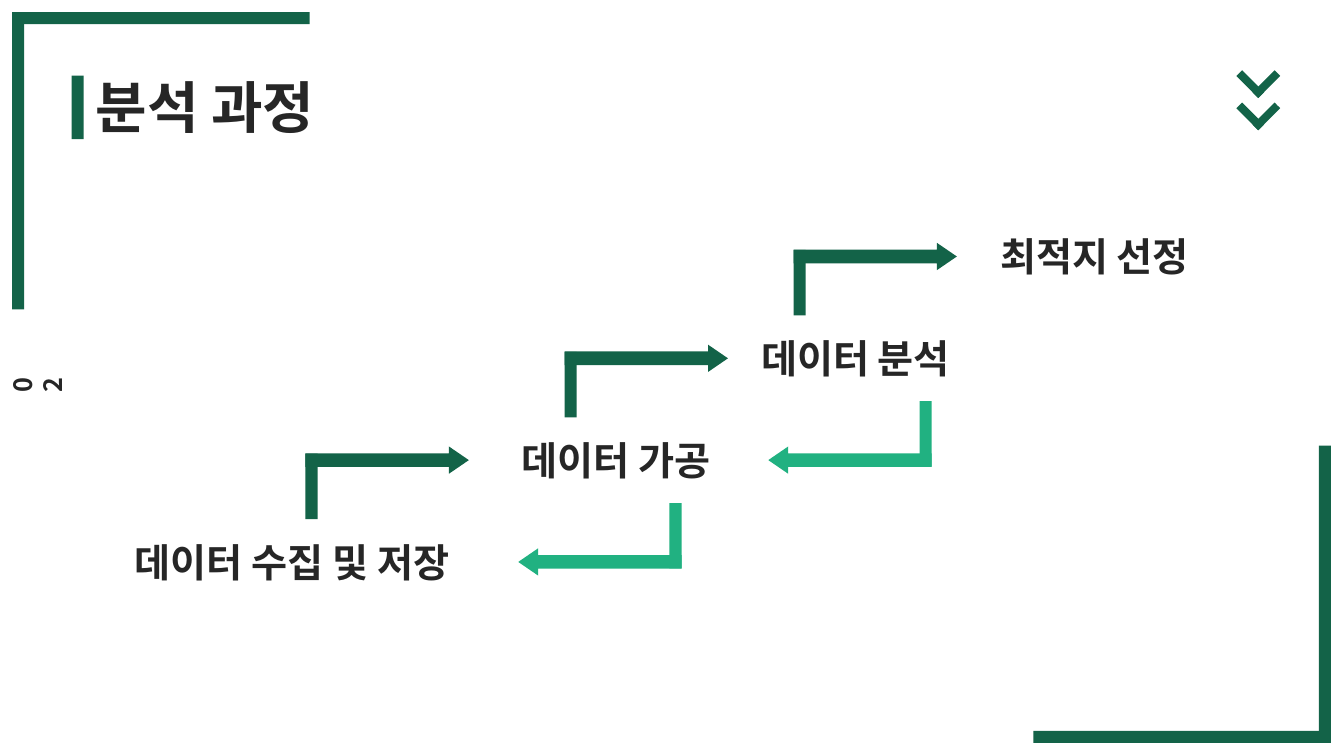
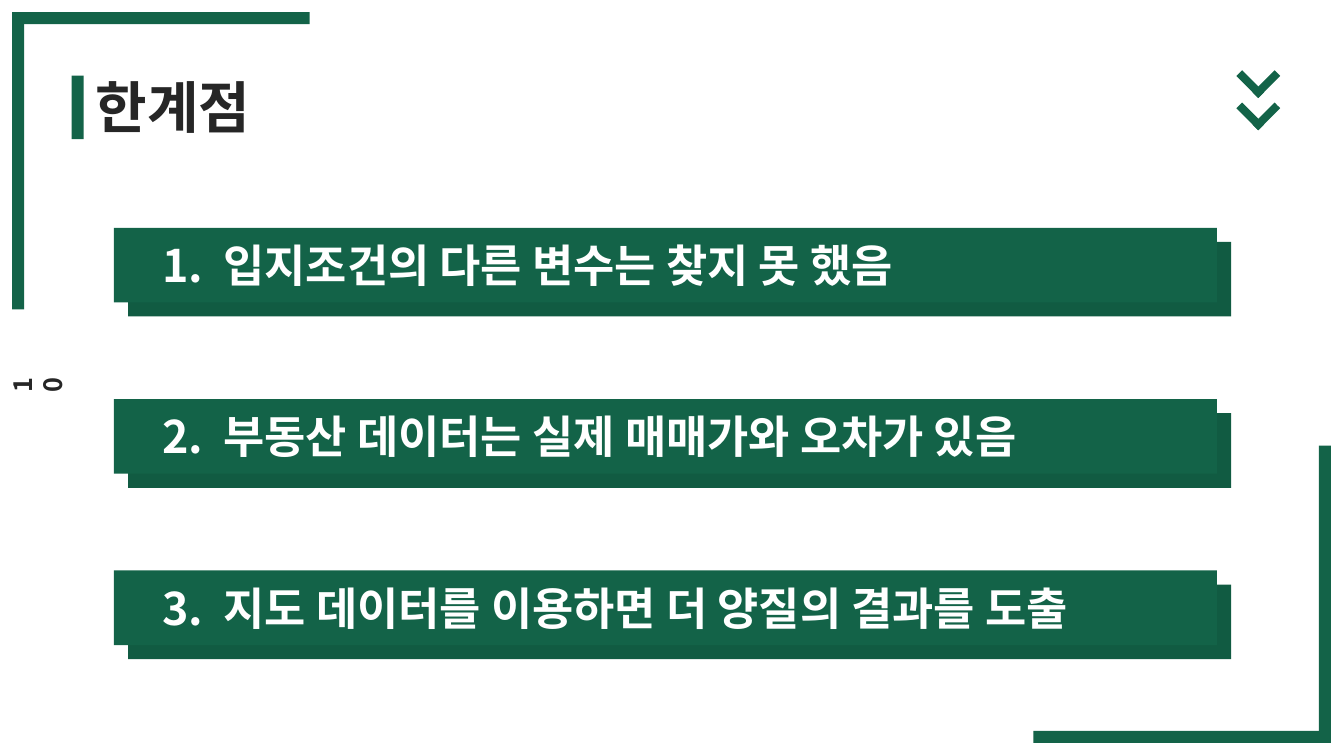
from dataclasses import dataclass

from pptx import Presentation
from pptx.dml.color import RGBColor
from pptx.enum.shapes import MSO_SHAPE as Preset
from pptx.enum.text import MSO_AUTO_SIZE as AutoSize
from pptx.oxml.ns import qn
from pptx.util import Inches, Pt


# Theme
@dataclass(frozen=True)
class Theme:
    font: str = "Noto Sans CJK KR"
    green: str = "136348"
    shade: str = "115B42"
    mint: str = "21B181"
    ink: str = "262626"
    white: str = "FFFFFF"
    title: int = 40
    item: int = 32
    stage: int = 28
    number: int = 18
    bar: float = 0.12


THEME = Theme()

# Content
PROCESS = {
    "title": "분석 과정", "title_width": 2.64, "number": "02",
    # label, left, width, left of arrow to the next stage, left of arrow back
    "stages": [
        ("데이터 수집 및 저장", 1.24, 3.76, 3.03, 5.14),
        ("데이터 가공", 5.07, 2.3, 5.6, 7.62),
        ("데이터 분석", 7.45, 2.3, 7.87, None),
        ("최적지 선정", 9.82, 2.3, None, None),
    ],
}
LIMITS = {
    "title": "한계점", "title_width": 1.88, "number": "10",
    "items": [
        "입지조건의 다른 변수는 찾지 못 했음",
        "부동산 데이터는 실제 매매가와 오차가 있음",
        "지도 데이터를 이용하면 더 양질의 결과를 도출",
    ],
}


# Building blocks
def add_block(slide, left, top, width, height, color=THEME.green,
              preset=Preset.RECTANGLE, rotation=0):
    block = slide.shapes.add_shape(
        preset, Inches(left), Inches(top), Inches(width), Inches(height))
    block.shadow.inherit = False
    block.fill.solid()
    block.fill.fore_color.rgb = RGBColor.from_string(color)
    block.line.fill.background()
    block.rotation = rotation
    return block


def add_label(slide, runs, left, top, width, height, size,
              color=THEME.ink, wrap=False, rotation=0):
    """Each run is a pair of text and letter spacing in points."""
    label = slide.shapes.add_textbox(
        Inches(left), Inches(top), Inches(width), Inches(height))
    label.rotation = rotation
    frame = label.text_frame
    frame.word_wrap = wrap
    frame.auto_size = AutoSize.SHAPE_TO_FIT_TEXT
    for text, spacing in runs:
        run = frame.paragraphs[0].add_run()
        run.text = text
        font = run.font
        font.name, font.size, font.bold = THEME.font, Pt(size), True
        font.color.rgb = RGBColor.from_string(color)
        properties = run._r.get_or_add_rPr()
        east_asian = properties.makeelement(
            qn("a:ea"), {"typeface": THEME.font})
        properties.find(qn("a:latin")).addnext(east_asian)
        if spacing:
            properties.set("spc", str(int(spacing * 100)))


# Shared slide parts
def add_framed_slide(deck, content):
    slide = deck.slides.add_slide(deck.slide_layouts[6])
    bar, arm, near = THEME.bar, 2.95, 0.12
    right, bottom = 13.2, 7.37

    # Corner brackets
    add_block(slide, near, near, bar, arm)
    add_block(slide, near, near, arm, bar)
    add_block(slide, right - arm, bottom - bar, arm, bar)
    add_block(slide, right - bar, bottom - arm, bar, arm)

    # Double chevron
    for top in (0.68, 1):
        for left, angle in ((12.36, 135), (12.52, 225)):
            add_block(slide, left, top, 0.08, 0.31, rotation=angle)

    # Page number and title
    add_label(slide, [(content["number"], 0)], -0.02, 3.55, 0.49, 0.4,
              THEME.number, rotation=270)
    add_label(slide, [(content["title"], 0)], 0.85, 0.67,
              content["title_width"], 0.77, THEME.title)
    add_block(slide, 0.71, 0.75, bar, 0.63)
    return slide


# Process slide
def add_elbow(slide, left, top, forward):
    width, height, stem = 1.62, 0.27, 0.65
    if forward:
        color, preset = THEME.green, Preset.RIGHT_ARROW
        stem_left, stem_top = left, top + 0.07
    else:
        color, preset = THEME.mint, Preset.LEFT_ARROW
        stem_left, stem_top = left + width - THEME.bar, top - 0.45
    add_block(slide, stem_left, stem_top, THEME.bar, stem, color)
    arrow = add_block(slide, left, top, width, height, color, preset)
    arrow.adjustments[0], arrow.adjustments[1] = 0.5, 0.73


def build_process(deck):
    slide = add_framed_slide(deck, PROCESS)
    first_top, rise = 5.29, 1.01
    for step, (name, left, width, onward, back) in enumerate(PROCESS["stages"]):
        top = first_top - step * rise
        add_label(slide, [(name, 0)], left, top, width, 0.57, THEME.stage)
        if onward is not None:
            add_elbow(slide, onward, top - 0.86, forward=True)
        if back is not None:
            add_elbow(slide, back, top + 0.15, forward=False)


# Limitations slide
def build_limits(deck):
    slide = add_framed_slide(deck, LIMITS)
    left, first_top, pitch = 1.13, 2.26, 1.7
    width, height, offset = 10.94, 0.74, 0.14
    for index, item in enumerate(LIMITS["items"]):
        top = first_top + index * pitch
        add_block(slide, left + offset, top + offset, width, height, THEME.shade)
        add_block(slide, left, top, width, height)
        runs = [(f"{index + 1}.", 0), (" ", 7.2), (item, 0)]
        add_label(slide, runs, left + 0.38, top + 0.05, 10.7, 0.64,
                  THEME.item, THEME.white, wrap=True)


def main():
    deck = Presentation()
    deck.slide_width, deck.slide_height = Inches(13.33), Inches(7.5)
    build_process(deck)
    build_limits(deck)
    deck.save("out.pptx")


if __name__ == "__main__":
    main()
